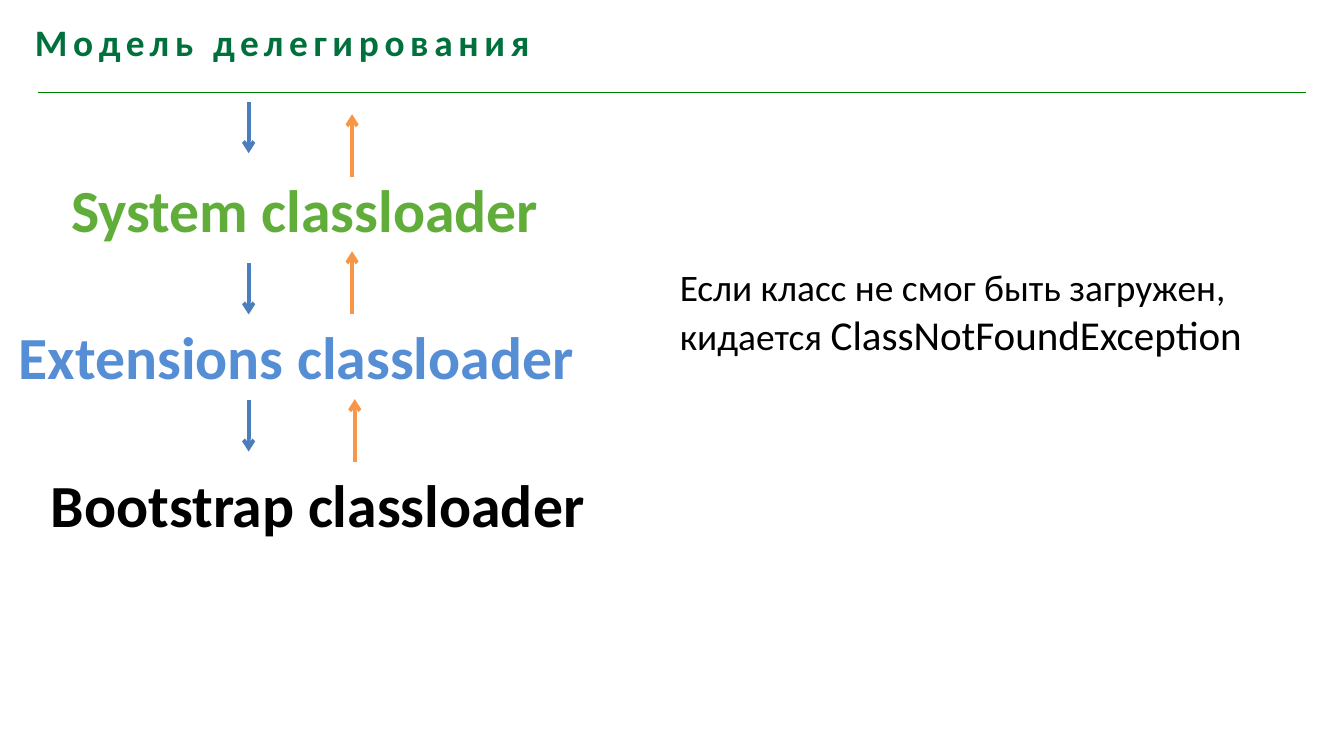
from typing import NamedTuple

from pptx import Presentation
from pptx.dml.color import RGBColor
from pptx.enum.shapes import MSO_CONNECTOR
from pptx.oxml.ns import qn
from pptx.shapes.autoshape import Shape
from pptx.slide import Slide
from pptx.util import Inches, Pt
from lxml.etree import SubElement

SLIDE_WIDTH = 10
SLIDE_HEIGHT = SLIDE_WIDTH * 9 / 16
FONT = "Calibri"
TITLE_GREEN = RGBColor(0x00, 0x70, 0x3C)
RULE_GREEN = RGBColor(0x00, 0x80, 0x00)
SYSTEM_GREEN = RGBColor(0x61, 0xAD, 0x3A)
EXTENSIONS_BLUE = RGBColor(0x55, 0x8E, 0xD5)
BLACK = RGBColor(0x00, 0x00, 0x00)
REQUEST_BLUE = RGBColor(0x4B, 0x7E, 0xBC)
RETURN_ORANGE = RGBColor(0xF7, 0x96, 0x46)


class TextRun(NamedTuple):
    text: str
    size: float
    color: RGBColor
    bold: bool = False


class Label(NamedTuple):
    left: float
    top: float
    width: float
    height: float
    runs: tuple[TextRun, ...]


class Line(NamedTuple):
    start: tuple[float, float]
    end: tuple[float, float]
    color: RGBColor
    width: float = 2
    arrow: bool = True


TITLE = Label(0.26, 0.09, 7.17, 0.39,
              (TextRun("Модель делегирования", 20, TITLE_GREEN, True),))
LABELS = (
    Label(0.43, 1.24, 3.78, 0.64,
          (TextRun("System classloader", 32, SYSTEM_GREEN, True),)),
    Label(0.04, 2.33, 4.49, 0.64,
          (TextRun("Extensions classloader", 32, EXTENSIONS_BLUE, True),)),
    Label(0.28, 3.43, 4.49, 0.64,
          (TextRun("Bootstrap classloader", 32, BLACK, True),)),
    Label(4.96, 1.92, 5, 1.14,
          (TextRun("Если класс не смог быть загружен, кидается ", 20, BLACK),
           TextRun("ClassNotFoundException", 22, BLACK))),
)
HEADER_RULE = Line((0.28, 0.69), (9.72, 0.69), RULE_GREEN, 0.75, False)
REQUEST_X = 1.85
REQUEST_LENGTH = 0.38
REQUEST_TOPS = (0.76, 1.96, 2.98)
RETURN_LENGTH = 0.47
RETURN_TAILS = ((2.62, 1.32), (2.62, 2.34), (2.64, 3.44))


def add_label(slide: Slide, label: Label) -> Shape:
    shape = slide.shapes.add_textbox(
        Inches(label.left), Inches(label.top),
        Inches(label.width), Inches(label.height))
    shape.text_frame.word_wrap = True
    paragraph = shape.text_frame.paragraphs[0]
    for text_run in label.runs:
        run = paragraph.add_run()
        run.text = text_run.text
        run.font.name = FONT
        run.font.size = Pt(text_run.size)
        run.font.bold = text_run.bold
        run.font.color.rgb = text_run.color
    return shape


def add_title(slide: Slide, label: Label) -> None:
    text_frame = add_label(slide, label).text_frame
    text_frame.margin_left = text_frame.margin_bottom = 0
    paragraph = text_frame.paragraphs[0]
    paragraph.space_before = Pt(4)
    paragraph.runs[0].font._element.set("spc", "300")


def add_line(slide: Slide, line: Line) -> None:
    connector = slide.shapes.add_connector(
        MSO_CONNECTOR.STRAIGHT,
        Inches(line.start[0]), Inches(line.start[1]),
        Inches(line.end[0]), Inches(line.end[1]))
    connector.line.color.rgb = line.color
    connector.line.width = Pt(line.width)
    if line.arrow:
        outline = connector.line._get_or_add_ln()
        SubElement(outline, qn("a:tailEnd"), type="arrow")
    SubElement(connector._element.spPr, qn("a:effectLst"))


def main() -> None:
    presentation = Presentation()
    presentation.slide_width = Inches(SLIDE_WIDTH)
    presentation.slide_height = Inches(SLIDE_HEIGHT)
    slide = presentation.slides.add_slide(presentation.slide_layouts[6])

    add_line(slide, HEADER_RULE)
    add_title(slide, TITLE)
    for label in LABELS:
        add_label(slide, label)
    for x, y in RETURN_TAILS:
        add_line(slide, Line((x, y), (x, y - RETURN_LENGTH), RETURN_ORANGE))
    for top in REQUEST_TOPS:
        add_line(slide, Line((REQUEST_X, top),
                             (REQUEST_X, top + REQUEST_LENGTH), REQUEST_BLUE))

    presentation.save("out.pptx")


if __name__ == "__main__":
    main()
